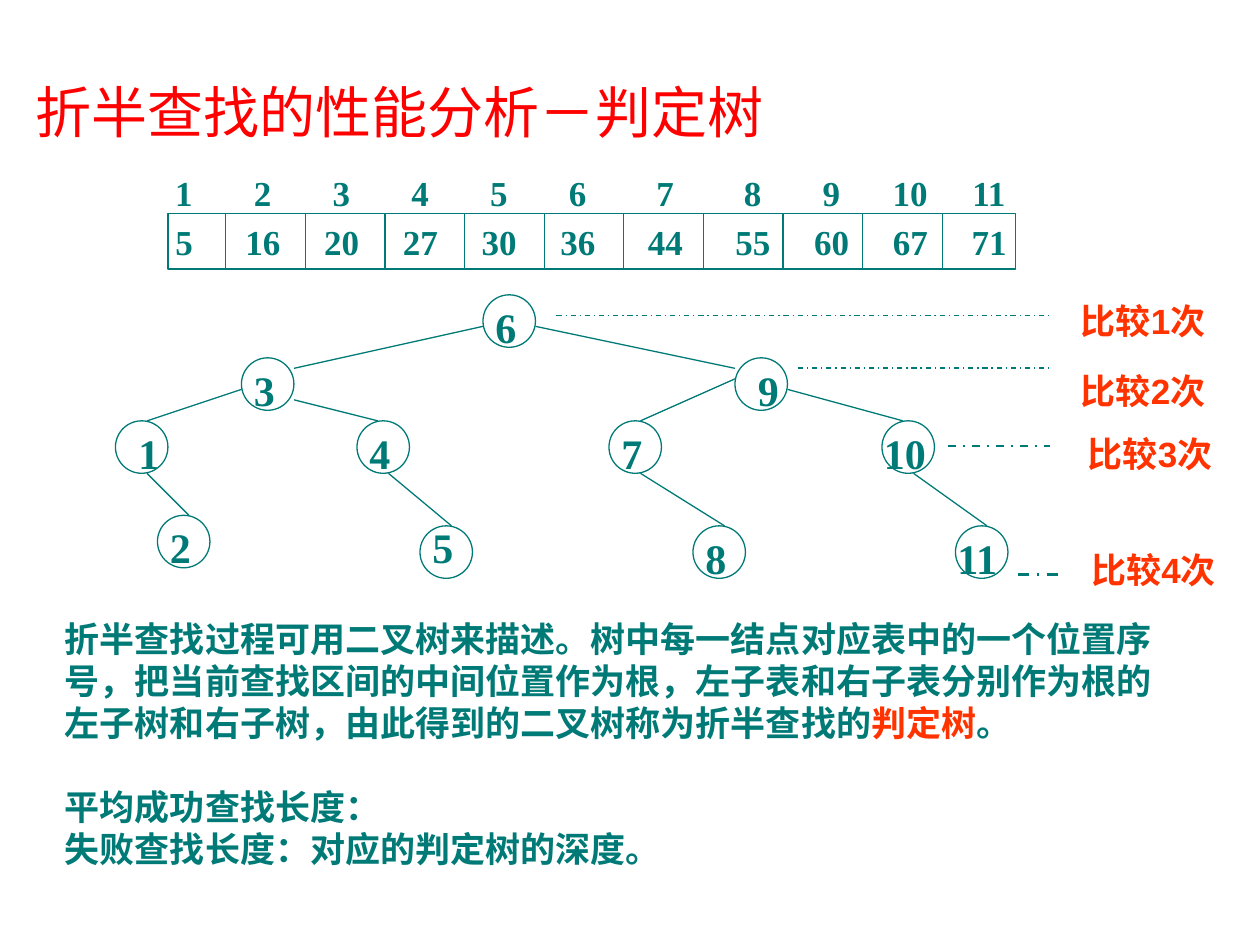
from lxml import etree
from pptx import Presentation
from pptx.dml.color import RGBColor
from pptx.enum import dml, shapes, text
from pptx.oxml import ns
from pptx.util import Pt

THEME = {
    "teal": RGBColor.from_string("007A77"),
    "orange": RGBColor.from_string("FF3300"),
    "red": RGBColor.from_string("FF0000"),
    "serif": "Times New Roman",
    "sans": "Arial",
    "cjk": "Noto Sans CJK SC",
    "title": 32,
    "node": 24,
    "body": 20,
    "thin": 0.75,
}

TITLE = "折半查找的性能分析－判定树"
POSITIONS = list(range(1, 12))
VALUES = [5, 16, 20, 27, 30, 36, 44, 55, 60, 67, 71]
COLUMN_GAPS = [45, 45, 45, 45, 45, 50, 50, 45, 45, 45]

# label, circle left, circle top, label shift right, label shift down, label width
NODES = [
    ("6", 276, 168.5, 0, 0, 36),
    ("3", 138, 204.5, 0, 0, 36),
    ("9", 420, 204.5, 6, 0, 48),
    ("1", 66, 240.5, 6, 0, 42),
    ("4", 204, 240.5, 0, 0, 36),
    ("7", 348, 240.5, 0, 0, 36),
    ("10", 504, 240.5, -6, 0, 48),
    ("2", 90, 294.5, 0, 0, 30),
    ("5", 240, 300.5, 0, -6, 42),
    ("8", 396, 300.5, 0, 0, 42),
    ("11", 546, 300.5, -6, 0, 42),
]
EDGES = [
    (276, 186.5, 168, 210.5),
    (306, 186.5, 420, 210.5),
    (138, 222.5, 84, 240.5),
    (168, 228.5, 216, 240.5),
    (420, 216.5, 366, 240.5),
    (450, 222.5, 516, 240.5),
    (84, 270.5, 108, 294.5),
    (222, 270.5, 258, 300.5),
    (366, 270.5, 414, 300.5),
    (522, 270.5, 564, 300.5),
]
# label, label left, label top, guide start, guide end, guide height, guide width
LEVELS = [
    ("比较1次", 606, 168, 318, 600, 180.3, 0.75),
    ("比较2次", 606, 208, 456, 600, 210.3, 0.75),
    ("比较3次", 610, 244, 541.5, 600, 255, 1.25),
    ("比较4次", 612, 310.3, 582, 606, 328.3, 1.5),
]
BODY = [
    [
        ("折半查找过程可用二叉树来描述。树中每一结点对应表中的一个位置序号，"
         "把当前查找区间的中间位置作为根，左子表和右子表分别作为根的左子树和右子树，"
         "由此得到的二叉树称为折半查找的", "teal"),
        ("判定树", "orange"),
        ("。", "teal"),
    ],
    [("平均成功查找长度：", "teal")],
    [("失败查找长度：对应的判定树的深度。", "teal")],
]


def style(para, face, size, color=None, bold=True, cjk=False):
    para.font.name = THEME[face]
    para.font.size = Pt(THEME[size])
    para.font.bold = bold
    if color:
        para.font.color.rgb = THEME[color]
    if cjk:
        defaults = para._p.pPr.find(ns.qn("a:defRPr"))
        etree.SubElement(defaults, ns.qn("a:ea"), typeface=THEME["cjk"])


def add_box(parent, left, top, width, height, middle=False):
    box = parent.shapes.add_textbox(Pt(left), Pt(top), Pt(width), Pt(height))
    box.text_frame.word_wrap = True
    if middle:
        box.text_frame.vertical_anchor = text.MSO_ANCHOR.MIDDLE
    return box


def add_outline(parent, kind, left, top, width, height):
    shape = parent.shapes.add_shape(kind, Pt(left), Pt(top), Pt(width), Pt(height))
    shape.shadow.inherit = False
    shape.fill.background()
    shape.line.color.rgb = THEME["teal"]
    shape.line.width = Pt(THEME["thin"])
    return shape


def add_line(parent, x1, y1, x2, y2, width=THEME["thin"], dashed=False):
    line = parent.shapes.add_connector(
        shapes.MSO_CONNECTOR.STRAIGHT, Pt(x1), Pt(y1), Pt(x2), Pt(y2))
    line.line.color.rgb = THEME["teal"]
    line.line.width = Pt(width)
    if dashed:
        line.line.dash_style = dml.MSO_LINE.DASH_DOT
    etree.SubElement(line._element.spPr, ns.qn("a:effectLst"))


def write_row(frame, items):
    para = frame.paragraphs[0]
    para.text = "\t".join(str(item) for item in items)
    para.alignment = text.PP_ALIGN.LEFT
    tabs = etree.SubElement(para._p.get_or_add_pPr(), ns.qn("a:tabLst"))
    stop = 5
    for gap in COLUMN_GAPS:
        stop += gap
        etree.SubElement(tabs, ns.qn("a:tab"), pos=str(int(Pt(stop))), algn="ctr")
    style(para, "serif", "body", "teal")


def draw_tree(page):
    tree = page.shapes.add_group_shape()
    for label, left, top, right, down, width in NODES:
        add_outline(tree, shapes.MSO_SHAPE.OVAL, left, top, 30, 30)
    for edge in EDGES:
        add_line(tree, *edge)
    for label, left, top, right, down, width in NODES:
        box = add_box(tree, left + right, top + down, width, 36)
        para = box.text_frame.paragraphs[0]
        para.text = label
        style(para, "serif", "node", "teal")


def draw_array(page):
    left, top, width, height = 96, 121.9, 484.5, 31.8
    array = page.shapes.add_group_shape()
    write_row(add_box(array, 93, 94.3, 490, 31.5).text_frame, POSITIONS)
    frame = add_outline(
        array, shapes.MSO_SHAPE.RECTANGLE, left, top, width, height).text_frame
    frame.margin_left = Pt(4.2)
    frame.margin_right = 0
    frame.word_wrap = True
    frame.vertical_anchor = text.MSO_ANCHOR.MIDDLE
    write_row(frame, VALUES)
    for index in range(len(VALUES) - 1):
        x = 129 + 45.5 * index
        add_line(array, x, top, x, top + height)


def draw_levels(page):
    for label, left, top, start, end, y, width in LEVELS:
        add_line(page, start, y, end, y, width, dashed=True)
        frame = add_box(page, left, top, 94.5, 30, middle=True).text_frame
        frame.margin_left = frame.margin_right = 0
        para = frame.paragraphs[0]
        para.text = label
        para.alignment = text.PP_ALIGN.CENTER
        style(para, "sans", "body", "orange", cjk=True)


def draw_body(page):
    frame = add_box(page, 30, 349.2, 647.5, 146).text_frame
    for index, spans in enumerate(BODY):
        para = frame.add_paragraph() if index else frame.paragraphs[0]
        para.line_spacing = Pt(24)
        if index == 1:
            para.space_before = Pt(24)
        style(para, "sans", "body", cjk=True)
        for words, color in spans:
            span = para.add_run()
            span.text = words
            span.font.color.rgb = THEME[color]


def main():
    deck = Presentation()
    deck.slide_width, deck.slide_height = Pt(720), Pt(540)
    page = deck.slides.add_slide(deck.slide_layouts[6])
    draw_tree(page)
    box = add_box(page, 13, 43.2, 584.5, 40.3, middle=True)
    para = box.text_frame.paragraphs[0]
    para.text = TITLE
    style(para, "cjk", "title", "red", bold=False, cjk=True)
    draw_array(page)
    draw_levels(page)
    draw_body(page)
    deck.save("out.pptx")


if __name__ == "__main__":
    main()
